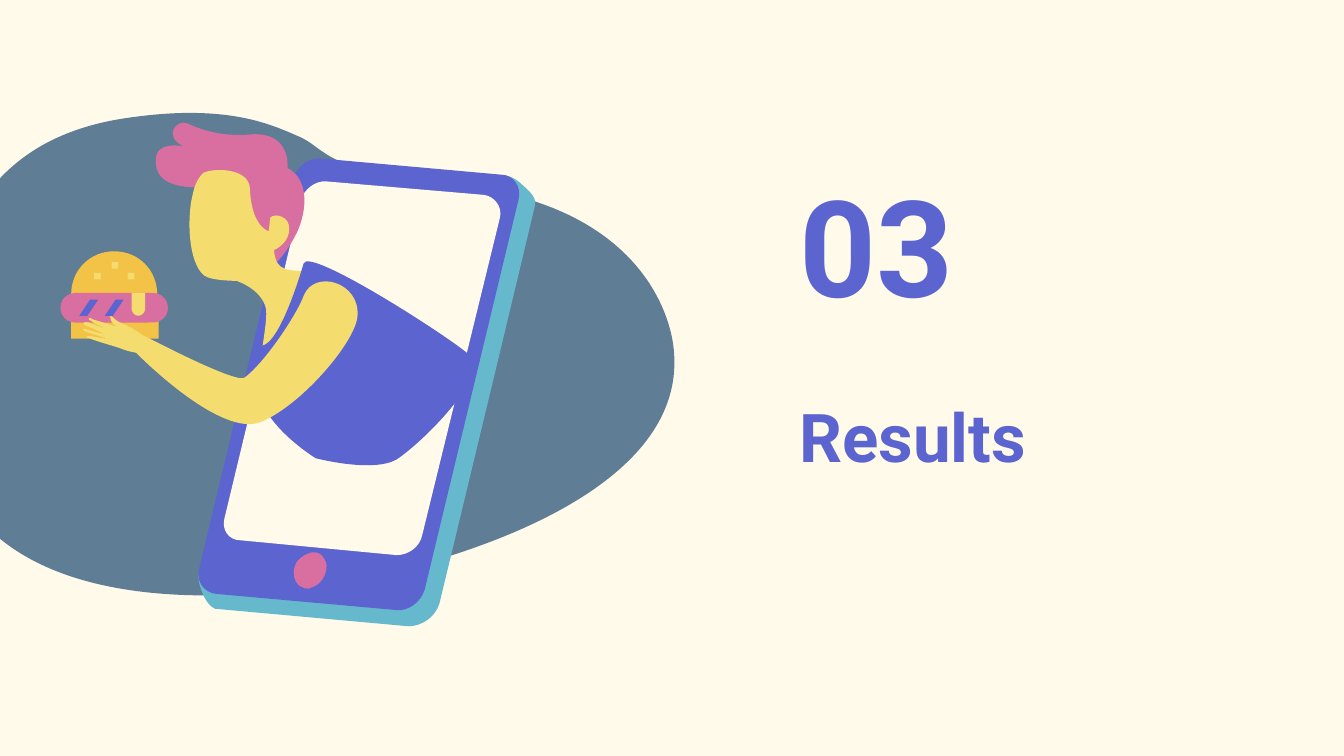
from math import cos, radians, sin
from typing import NamedTuple

from pptx import Presentation
from pptx.dml.color import RGBColor
from pptx.enum.shapes import MSO_SHAPE
from pptx.enum.text import MSO_ANCHOR
from pptx.oxml.ns import qn
from pptx.util import Inches, Pt

CREAM, SLATE, BLUE, TEAL = "FFFAEA", "5F7D95", "5C65CF", "66B9CC"
PINK, SKIN, BUN = "D96FA0", "F5DC6E", "F3C347"
WIDTH = 10
HEIGHT = WIDTH * 9 / 16
TILT = -6


class Form(NamedTuple):
    """A closed outline in inches: one point is a line, three are a curve."""
    fill: str
    line: str
    tilt: float = 0


class Box(NamedTuple):
    fill: str
    x: float
    y: float
    w: float
    h: float
    kind: MSO_SHAPE = MSO_SHAPE.RECTANGLE


class Label(NamedTuple):
    text: str
    x: float
    y: float
    w: float
    h: float
    size: int
    anchor: MSO_ANCHOR
    space: float = 1.0


BLOB = Form(SLATE, "1.41,0.84; 1.29,0.84 1.15,0.85 1,0.87; 0.2,0.97 -0.46,1.42 -0.48,2.86;"
            "-0.49,4.17 0.63,4.43 1.54,4.43; 2.15,4.43 2.67,4.31 2.67,4.31;"
            "2.67,4.31 5.26,3.85 5,2.51; 4.98,2.43 4.83,1.53 3.4,1.38;"
            "2.36,1.27 2.44,1.1 2.21,1.01; 2.03,0.93 1.81,0.84 1.41,0.84")

BURGER = [
    Box(BUN, 0.53, 2.36, 0.65, 0.16),
    Form(BUN, "0.85,1.87; 0.67,1.87 0.53,2.01 0.53,2.19; 0.53,2.31; 1.17,2.31;"
         "1.17,2.19; 1.17,2.01 1.03,1.87 0.85,1.87"),
    Box(PINK, 0.45, 2.18, 0.8, 0.22, MSO_SHAPE.ROUNDED_RECTANGLE),
    *(Box(SKIN, x, y, 0.05, 0.05) for x, y in [(0.7, 2.03), (0.95, 2.03), (0.83, 1.95)]),
    Form(SKIN, "0.98,2.18; 0.98,2.3; 0.98,2.32 1,2.35 1.03,2.35;"
         "1.06,2.35 1.08,2.32 1.08,2.3; 1.08,2.18"),
    *(Form(BLUE, f"{x + 0.08},2.23; {x},2.35; {x + 0.06},2.35; {x + 0.14},2.23")
      for x in (0.59, 0.78)),
]

PHONE = [
    Form(TEAL, "3.98,1.53; 4,1.46 3.91,1.4 3.87,1.36; 3.81,1.31 3.77,1.31 3.77,1.31;"
         "2.41,1.19; 2.3,1.18 2.2,1.25 2.18,1.35; 1.48,4.26; 1.46,4.31 1.52,4.5 1.6,4.53;"
         "3.04,4.66; 3.14,4.66 3.24,4.59 3.27,4.49; 3.27,4.49 3.9,1.88 3.98,1.53", TILT),
    Form(BLUE, "3.86,1.48; 3.88,1.39 3.82,1.3 3.73,1.3; 2.39,1.18; 2.3,1.17 2.21,1.24 2.18,1.33;"
         "1.48,4.24; 1.46,4.33 1.52,4.41 1.61,4.42; 2.95,4.54;"
         "3.04,4.55 3.13,4.48 3.16,4.39", TILT),
    Form(CREAM, "3.72,1.62; 3.74,1.54 3.68,1.46 3.6,1.45; 2.43,1.35; 2.35,1.34 2.26,1.41 2.24,1.49;"
         "1.67,3.86; 1.65,3.94 1.7,4.02 1.79,4.02; 2.95,4.13;"
         "3.04,4.13 3.12,4.07 3.14,3.99", TILT),
    Form(PINK, "2.32,4.11; 2.28,4.12 2.24,4.14 2.21,4.18; 2.17,4.24 2.18,4.32 2.23,4.36;"
         "2.25,4.37 2.27,4.38 2.3,4.38; 2.3,4.38 2.31,4.37 2.32,4.37;"
         "2.35,4.36 2.38,4.34 2.4,4.31; 2.42,4.28 2.43,4.24 2.43,4.21;"
         "2.43,4.18 2.41,4.15 2.39,4.13; 2.37,4.11 2.35,4.11 2.32,4.11", TILT),
]

HAIR = Form(PINK, "2.14,1.25; 2.14,1.25 2.17,0.98 1.87,1; 1.67,1.02 1.5,0.97 1.4,0.92;"
            "1.31,0.88 1.21,1.02 1.37,1.09; 1.37,1.09 1.16,1.04 1.16,1.19;"
            "1.15,1.4 1.4,1.39 1.52,1.4; 1.64,1.42 1.92,1.96 2.05,1.96;"
            "2.05,1.96 2.13,1.89 2.21,1.73; 2.28,1.58 2.31,1.34 2.14,1.25", TILT)
HEAD = Form(SKIN, "1.86,1.4; 1.85,1.24 1.56,1.25 1.51,1.29; 1.46,1.34 1.44,1.4 1.42,1.52;"
            "1.39,1.75 1.43,1.98 1.52,2.05; 1.57,2.09 1.76,2.09 1.76,2.09;"
            "1.76,2.09 1.95,2.15 1.98,2.3; 2,2.47 1.84,2.91 2.04,3;"
            "2.24,3.09 2.46,3.31 2.77,3.3; 3.09,3.28 3.36,2.86 3.23,2.73;"
            "2.96,2.47 2.7,2.04 2.32,2.02; 2.15,2.01 2.05,2.03 2.04,1.86;"
            "2.04,1.86 2.07,1.85 2.11,1.81; 2.16,1.76 2.18,1.64 2.09,1.61;"
            "2.04,1.59 2,1.62 2.01,1.63; 2,1.72; 2,1.72 1.87,1.69 1.86,1.4", TILT)
SHIRT = Form(BLUE, "2.35,3.41; 2.35,3.41 2.07,3.24 1.96,3.02; 1.86,2.83 1.91,2.58 1.96,2.57;"
             "2.06,2.54 2.18,2.23 2.26,1.96; 2.3,1.84 3.3,2.48 3.48,2.63;"
             "3.67,2.79 3.12,3.31 2.95,3.42; 2.77,3.52 2.35,3.41 2.35,3.41", TILT)
ARM = Form(SKIN, "2.26,2.2; 2.21,2.34 1.97,2.7 1.82,2.81; 1.75,2.86 1,2.46 1,2.46;"
           "1,2.46 0.88,2.46 0.96,2.57; 1.05,2.67 1.65,3.26 1.94,3.14;"
           "2.24,3.02 2.65,2.54 2.66,2.35; 2.68,2.1 2.34,2 2.26,2.2", TILT)
HAND = Form(SKIN, "0.85,2.37; 0.88,2.41 1.02,2.43 1.11,2.55; 1.12,2.56 1.14,2.62 1.09,2.63;"
            "1.07,2.63 0.98,2.63 0.89,2.59; 0.83,2.57 0.72,2.54 0.67,2.52;"
            "0.63,2.51 0.64,2.5 0.68,2.5; 0.7,2.51 0.8,2.52 0.8,2.52;"
            "0.8,2.52 0.68,2.48 0.64,2.47; 0.62,2.46 0.6,2.44 0.64,2.45;"
            "0.67,2.46 0.79,2.49 0.79,2.49; 0.79,2.49 0.66,2.43 0.63,2.42;"
            "0.61,2.41 0.62,2.39 0.66,2.4; 0.69,2.41 0.81,2.46 0.81,2.46;"
            "0.81,2.46 0.71,2.41 0.68,2.39; 0.65,2.38 0.65,2.35 0.7,2.38;"
            "0.74,2.39 0.83,2.42 0.89,2.44; 0.86,2.43 0.82,2.4 0.82,2.36;"
            "0.82,2.35 0.82,2.34 0.85,2.37", TILT)

LABELS = [
    Label("Results", 5.85, 1.4, 4.26, 2.24, 36, MSO_ANCHOR.BOTTOM, 0.8),
    Label("03", 5.85, 1.38, 2.09, 0.87, 72, MSO_ANCHOR.MIDDLE),
]


def paint(target, color: str) -> None:
    """Give a fill one solid colour."""
    target.solid()
    target.fore_color.rgb = RGBColor.from_string(color)


def finish(shape, color: str) -> None:
    paint(shape.fill, color)
    shape.line.fill.background()
    shape.shadow.inherit = False


def turn(x: float, y: float, angle: float) -> tuple[float, float]:
    """Turn a point clockwise about the slide's top left corner."""
    c, s = cos(radians(angle)), sin(radians(angle))
    return x * c - y * s, x * s + y * c


def bend(shape, parts: list) -> None:
    """Join each three line steps that make up a curve into one Bezier step."""
    steps = iter(list(shape._element.iter(qn("a:lnTo"))))
    for part in parts:
        group = [next(steps) for _ in part]
        if len(group) == 3:
            group[0].tag = qn("a:cubicBezTo")
            for step in group[1:]:
                group[0].append(step[0])
                step.getparent().remove(step)


def draw_form(slide, form: Form) -> None:
    parts = []
    for part in form.line.split(";"):
        pairs = [map(float, pair.split(",")) for pair in part.split()]
        points = [turn(x, y, -form.tilt) for x, y in pairs]
        parts.append([(Inches(x), Inches(y)) for x, y in points])
    start, *rest = parts
    pen = slide.shapes.build_freeform(*start[0])
    pen.add_line_segments([point for part in rest for point in part], close=True)
    shape = pen.convert_to_shape()
    bend(shape, rest)
    half_w, half_h = shape.width / 2, shape.height / 2
    mid_x, mid_y = turn(shape.left + half_w, shape.top + half_h, form.tilt)
    shape.left, shape.top = round(mid_x - half_w), round(mid_y - half_h)
    shape.rotation = form.tilt
    finish(shape, form.fill)


def draw_box(slide, box: Box) -> None:
    shape = slide.shapes.add_shape(box.kind, *map(Inches, box[1:5]))
    if box.kind == MSO_SHAPE.ROUNDED_RECTANGLE:
        shape.adjustments[0] = 0.5
    finish(shape, box.fill)


def draw_label(slide, label: Label) -> None:
    frame = slide.shapes.add_textbox(*map(Inches, label[1:5])).text_frame
    frame.text = label.text
    frame.word_wrap = True
    frame.vertical_anchor = label.anchor
    frame.margin_left = frame.margin_right = Inches(0.1)
    frame.margin_top = frame.margin_bottom = Inches(0.1)
    line = frame.paragraphs[0]
    line.line_spacing = label.space
    font = line.runs[0].font
    font.name, font.size, font.bold = "Roboto", Pt(label.size), True
    paint(font.fill, BLUE)


def main() -> None:
    deck = Presentation()
    deck.slide_width, deck.slide_height = Inches(WIDTH), Inches(HEIGHT)
    slide = deck.slides.add_slide(deck.slide_layouts[6])
    paint(slide.background.fill, CREAM)
    for label in LABELS:
        draw_label(slide, label)
    for item in [BLOB, *BURGER, *PHONE, HAIR, HEAD, SHIRT, ARM, HAND]:
        draw = draw_form if isinstance(item, Form) else draw_box
        draw(slide, item)
    deck.save("out.pptx")


if __name__ == "__main__":
    main()
